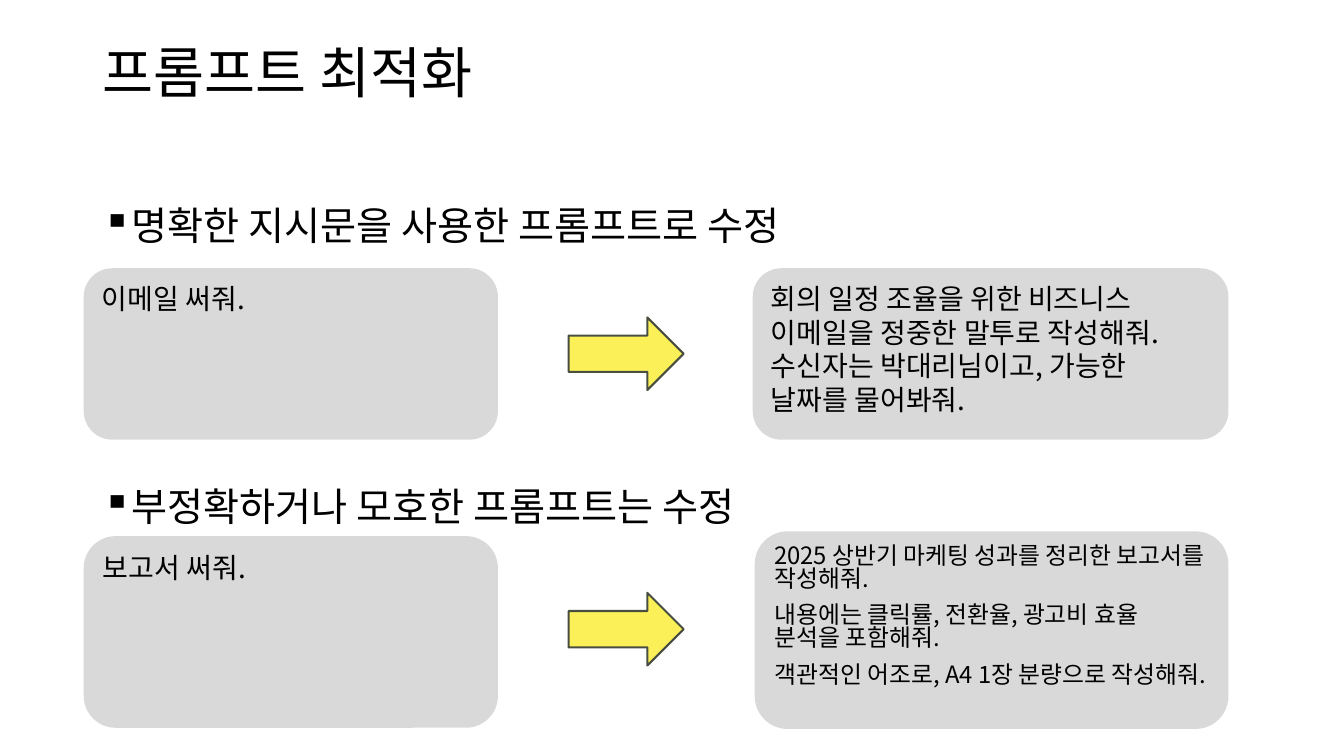
from lxml.etree import SubElement
from pptx import Presentation
from pptx.dml.color import RGBColor
from pptx.enum.shapes import MSO_SHAPE
from pptx.enum.text import MSO_ANCHOR, PP_ALIGN
from pptx.oxml.ns import qn
from pptx.util import Cm, Pt

COLORS = {"text": "000000", "box": "D9D9D9", "arrow": "FCF059", "outline": "484F40"}
FONT = "Noto Sans CJK KR"


def color(name):
    return RGBColor.from_string(COLORS[name])


def write(shape, lines, size, spacing, anchor=MSO_ANCHOR.TOP, bullet=None):
    frame = shape.text_frame
    frame.word_wrap = True
    frame.vertical_anchor = anchor
    for index, line in enumerate(lines):
        paragraph = frame.paragraphs[0] if index == 0 else frame.add_paragraph()
        paragraph.alignment = PP_ALIGN.LEFT
        paragraph.line_spacing = spacing
        if index:
            paragraph.space_before = Pt(10)
        if bullet:
            properties = paragraph._p.get_or_add_pPr()
            properties.set("marL", str(Cm(0.64)))
            properties.set("indent", str(Cm(-0.64)))
            SubElement(properties, qn("a:buChar"), char=bullet)
        run = paragraph.add_run()
        run.text = line
        run.font.size = Pt(size)
        run.font.name = FONT
        run.font.color.rgb = color("text")
        SubElement(run._r.get_or_add_rPr(), qn("a:ea"), typeface=FONT)


presentation = Presentation()
presentation.slide_width = Cm(33.87)
presentation.slide_height = Cm(19.05)
slide = presentation.slides.add_slide(presentation.slide_layouts[6])

# Title
title = slide.shapes.add_textbox(Cm(2.34), Cm(1.02), Cm(29.21), Cm(1.75))
write(title, ["프롬프트 최적화"], 39.6, 0.9, MSO_ANCHOR.MIDDLE)

# Section headings
headings = [
    (5.08, "명확한 지시문을 사용한 프롬프트로 수정"),
    (12.16, "부정확하거나 모호한 프롬프트는 수정"),
]
for top, text in headings:
    heading = slide.shapes.add_textbox(Cm(2.34), Cm(top), Cm(29.21), Cm(1.3))
    write(heading, [text], 28, 0.9, bullet="▪")

# Prompts before and after: left, top, width, height, size, line spacing, lines
prompts = [
    (2.11, 6.76, 10.44, 4.32, 20, 1, ["이메일 써줘."]),
    (18.97, 6.76, 11.99, 4.32, 20, 1, [
        "회의 일정 조율을 위한 비즈니스 이메일을 정중한 말투로 작성해줘. "
        "수신자는 박대리님이고, 가능한 날짜를 물어봐줘."]),
    (2.11, 13.51, 10.44, 4.83, 20, 1, ["보고서 써줘."]),
    (19.02, 13.39, 11.94, 4.98, 17, 0.8, [
        "2025 상반기 마케팅 성과를 정리한 보고서를 작성해줘.",
        "내용에는 클릭률, 전환율, 광고비 효율 분석을 포함해줘.",
        "객관적인 어조로, A4 1장 분량으로 작성해줘."]),
]
for left, top, width, height, size, spacing, lines in prompts:
    box = slide.shapes.add_shape(
        MSO_SHAPE.ROUNDED_RECTANGLE, Cm(left), Cm(top), Cm(width), Cm(height))
    box.shadow.inherit = False
    box.fill.solid()
    box.fill.fore_color.rgb = color("box")
    box.line.fill.background()
    write(box, lines, size, spacing)

# Arrows from the first prompt to the improved one
for top in (8, 14.94):
    arrow = slide.shapes.add_shape(
        MSO_SHAPE.RIGHT_ARROW, Cm(14.33), Cm(top), Cm(2.9), Cm(1.83))
    arrow.shadow.inherit = False
    arrow.fill.solid()
    arrow.fill.fore_color.rgb = color("arrow")
    arrow.line.color.rgb = color("outline")
    arrow.line.width = Pt(1.5)

presentation.save("out.pptx")
